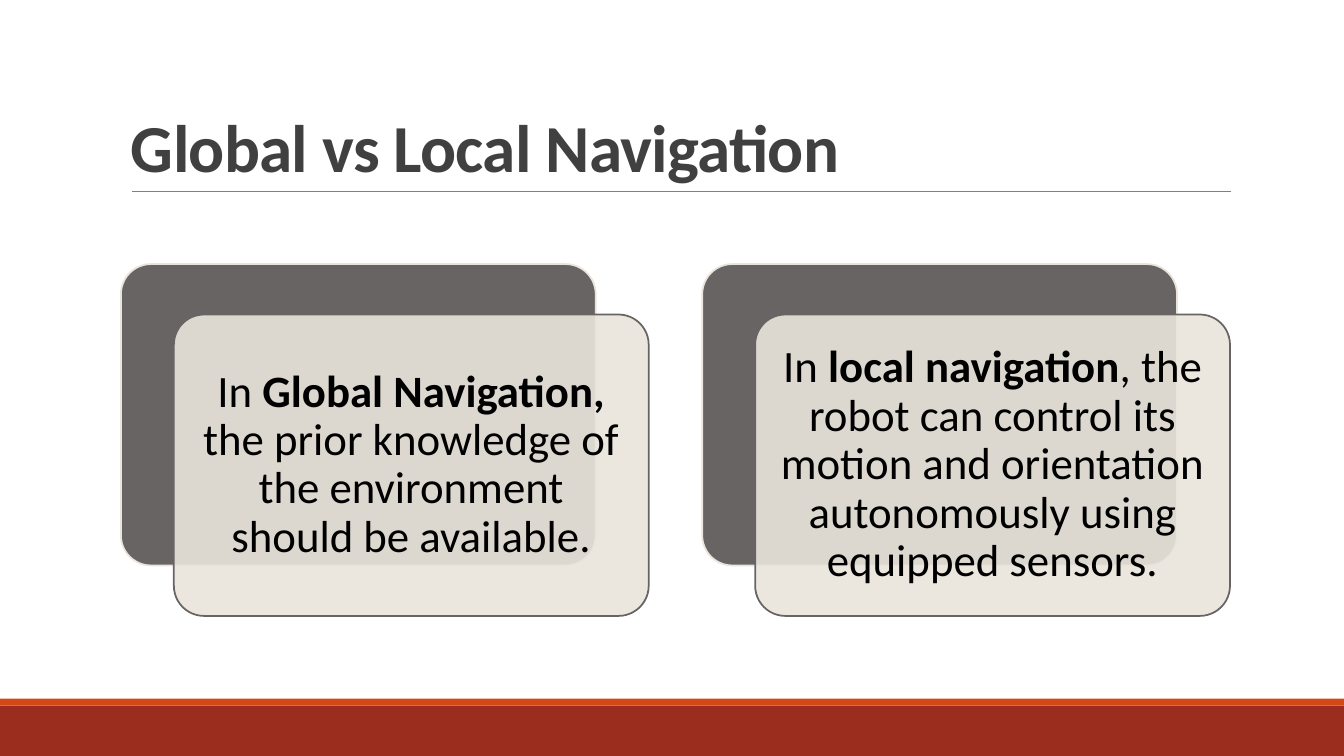
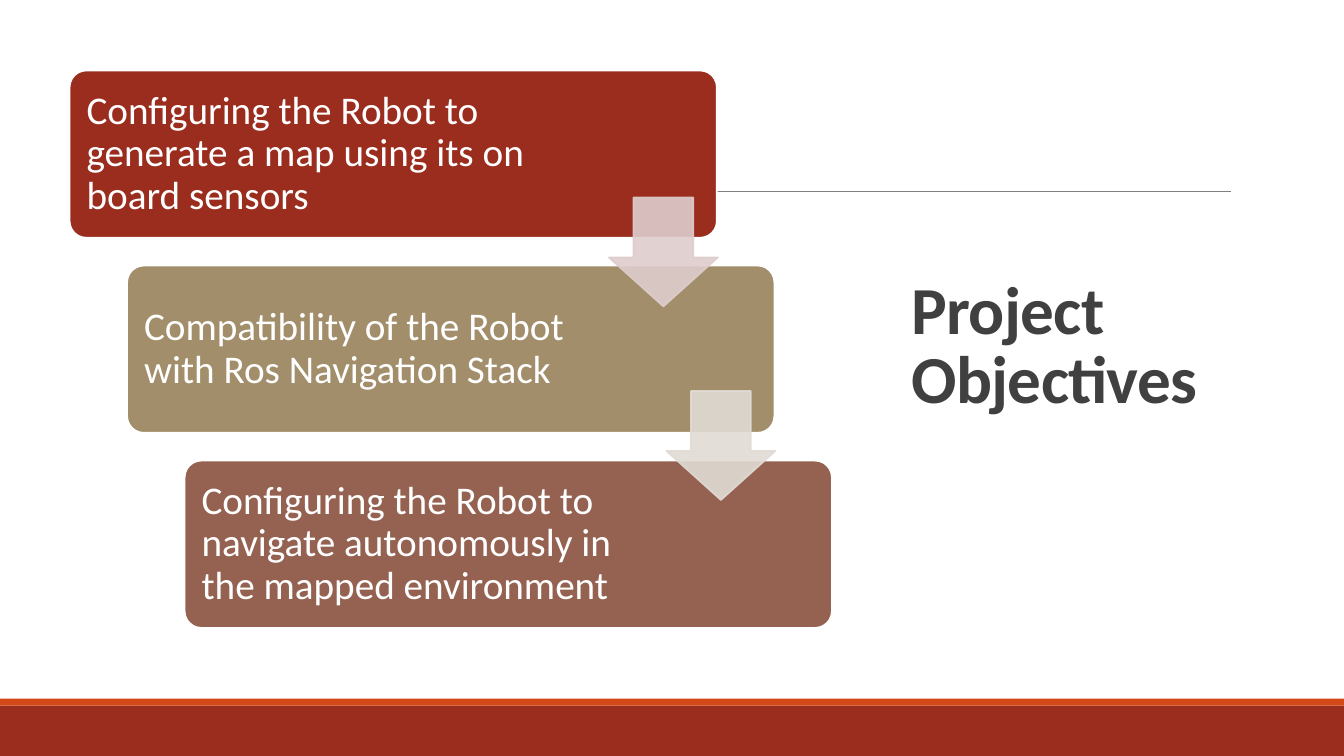
import dataclasses

import lxml.etree
import pptx
import pptx.dml.color
import pptx.enum.shapes
import pptx.enum.text
import pptx.oxml.ns
import pptx.util


@dataclasses.dataclass(frozen=True)
class Theme:
    font: str = "Calibri"
    title_size: int = 48
    card_size: int = 32
    step_size: int = 28
    outline: float = 1.25
    hairline: float = 0.5
    title: str = "404040"
    rule: str = "808080"
    band: str = "9B2D1F"
    stripe: str = "D34817"
    slate: str = "696464"
    sand: str = "E9E5DC"
    black: str = "000000"
    white: str = "FFFFFF"
    steps: tuple = ("9B2D1F", "A28E6A", "956251")
    arrows: tuple = ("DECDCD", "E0DBD4")


theme = Theme()
shape_kind = pptx.enum.shapes.MSO_SHAPE
align = pptx.enum.text.PP_ALIGN
anchor = pptx.enum.text.MSO_ANCHOR
rgb = pptx.dml.color.RGBColor.from_string
qn = pptx.oxml.ns.qn

deck = pptx.Presentation()
deck.slide_width = pptx.util.Inches(13.33)
deck.slide_height = pptx.util.Inches(7.5)

# One grid column or row is one percent of the slide
column = deck.slide_width / 100
row = deck.slide_height / 100


def add_block(page, kind, left, top, width, height, fill, line=None,
              adjustments=(), fill_alpha=100, line_alpha=100):
    block = page.shapes.add_shape(kind, int(left * column), int(top * row),
                                  int(width * column), int(height * row))
    block.shadow.inherit = False
    for index, value in enumerate(adjustments):
        block.adjustments[index] = value
    block.fill.solid()
    block.fill.fore_color.rgb = rgb(fill)
    if line:
        block.line.color.rgb = rgb(line)
        block.line.width = pptx.util.Pt(theme.outline)
    else:
        block.line.fill.background()
    properties = block.fill._xPr
    for parent, alpha in ((properties, fill_alpha), (properties.find(qn("a:ln")), line_alpha)):
        if alpha < 100:
            color = parent.find(qn("a:solidFill"))[0]
            lxml.etree.SubElement(color, qn("a:alpha")).set("val", str(alpha * 1000))
    return block


def write_text(box, pieces, size, color, line_spacing, vertical=anchor.MIDDLE,
               horizontal=align.LEFT, inset=None):
    """Each piece is a pair: wording and whether it is bold."""
    frame = box.text_frame
    frame.word_wrap = True
    frame.vertical_anchor = vertical
    if inset is not None:
        frame.margin_left = frame.margin_right = pptx.util.Inches(inset)
        frame.margin_top = frame.margin_bottom = pptx.util.Inches(inset)
    para = frame.paragraphs[0]
    para.alignment = horizontal
    para.line_spacing = line_spacing
    for wording, bold in pieces:
        span = para.add_run()
        span.text = wording
        span.font.name = theme.font
        span.font.size = pptx.util.Pt(size)
        span.font.bold = bold
        span.font.color.rgb = rgb(color)
    return para


# Shared parts: footer bands, title rule and title
titles = (
    ("Global vs Local Navigation", (9, 4.13, 82.5, 21.2), anchor.BOTTOM, 0),
    ("Project Objectives", (67.07, 9.2, 27.68, 73.73), anchor.MIDDLE, 6),
)
pages = []
for wording, (left, top, width, height), vertical, space_after in titles:
    page = deck.slides.add_slide(deck.slide_layouts[6])
    pages.append(page)
    add_block(page, shape_kind.RECTANGLE, 0, 93.33, 100, 6.67, theme.band)
    add_block(page, shape_kind.RECTANGLE, 0, 92.4, 100, 0.93, theme.stripe)

    rule = page.shapes.add_connector(
        pptx.enum.shapes.MSO_CONNECTOR.STRAIGHT, int(9.83 * column),
        int(25.33 * row), int(91.6 * column), int(25.33 * row))
    rule.line.color.rgb = rgb(theme.rule)
    rule.line.width = pptx.util.Pt(theme.hairline)
    lxml.etree.SubElement(rule._element.spPr, qn("a:effectLst"))

    title = page.shapes.add_textbox(int(left * column), int(top * row),
                                    int(width * column), int(height * row))
    para = write_text(title, [(wording, True)], theme.title_size,
                      theme.title, 0.85, vertical)
    para.space_after = pptx.util.Pt(space_after)
    para.runs[0].font._element.set("spc", "-50")

navigation_page, objectives_page = pages

# Navigation cards: a dark card behind a translucent one
cards = (
    [("In ", False), ("Global Navigation, ", True),
     ("the prior knowledge of the environment should be available.", False)],
    [("In ", False), ("local navigation", True),
     (", the robot can control its motion and orientation autonomously "
      "using equipped sensors.", False)],
)
card_width, card_height = 35.33, 39.87
for index, pieces in enumerate(cards):
    left, top = 9 + 43.25 * index, 34.93
    add_block(navigation_page, shape_kind.ROUNDED_RECTANGLE, left, top,
              card_width, card_height, theme.slate, theme.sand, [0.1])
    front = add_block(navigation_page, shape_kind.ROUNDED_RECTANGLE,
                      left + 3.94, top + 6.67, card_width, card_height,
                      theme.sand, theme.slate, [0.1], fill_alpha=90)
    write_text(front, pieces, theme.card_size, theme.black, 0.9,
               horizontal=align.CENTER, inset=0.13)

# Objectives staircase: each step moves right and down
steps = (
    "Configuring the Robot to generate a map using its on board sensors",
    "Compatibility of the Robot with Ros Navigation Stack",
    "Configuring the Robot to navigate autonomously in the mapped environment",
)
step_shift = 4.28
for index, (wording, fill) in enumerate(zip(steps, theme.steps)):
    step = add_block(objectives_page, shape_kind.ROUNDED_RECTANGLE,
                     5.18 + step_shift * index, 9.33 + 25.8 * index,
                     48.16, 22.13, fill, theme.white, [0.1])
    write_text(step, [(wording, False)], theme.step_size, theme.white, 0.9,
               inset=0.12)
    step.text_frame.margin_right = int(13.35 * column)

# Arrows between the steps
for index, color in enumerate(theme.arrows):
    add_block(objectives_page, shape_kind.DOWN_ARROW,
              45.31 + step_shift * index, 26.13 + 25.6 * index, 8.1, 14.4,
              color, color, [0.55, 0.45], fill_alpha=90, line_alpha=90)

deck.save("out.pptx")
